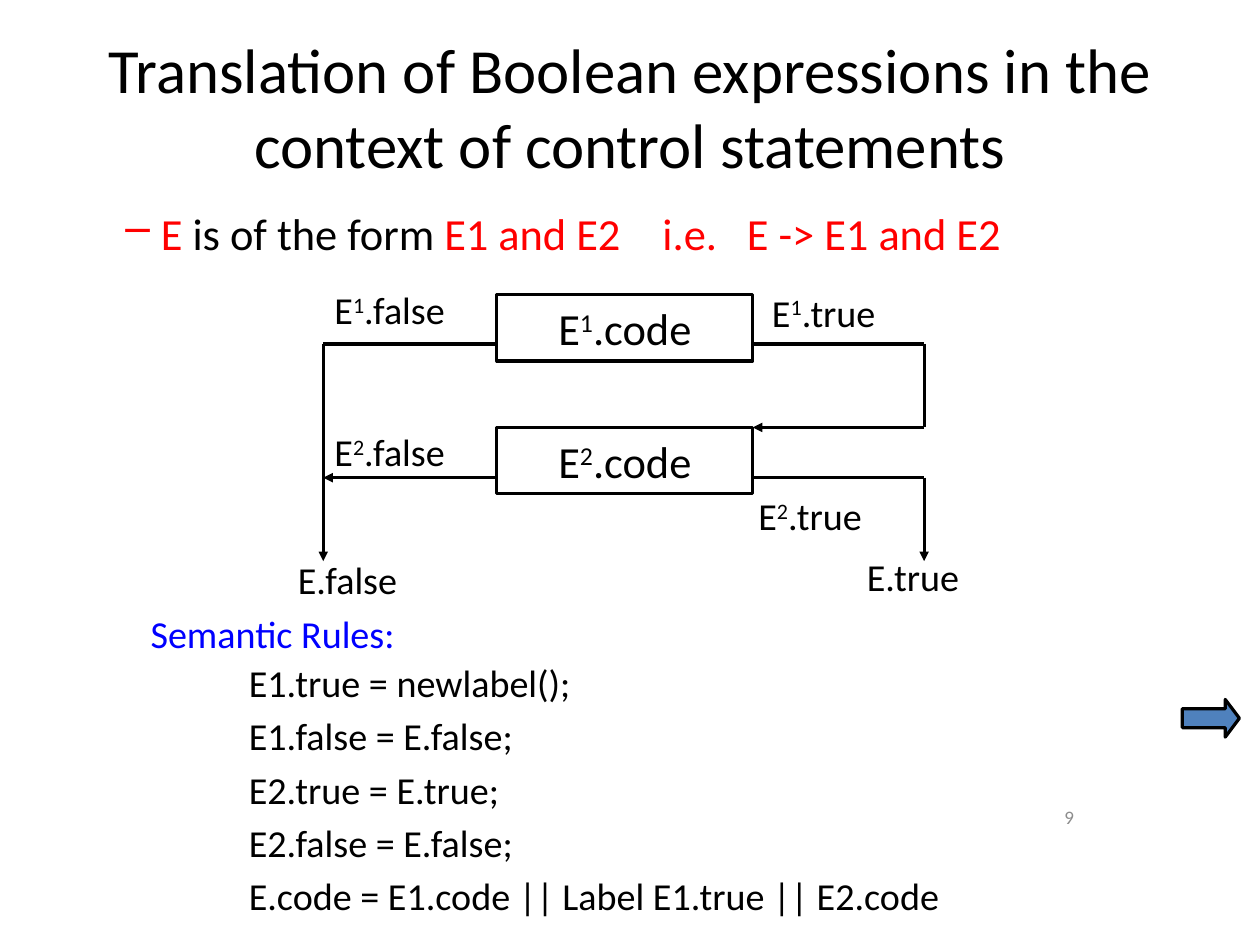
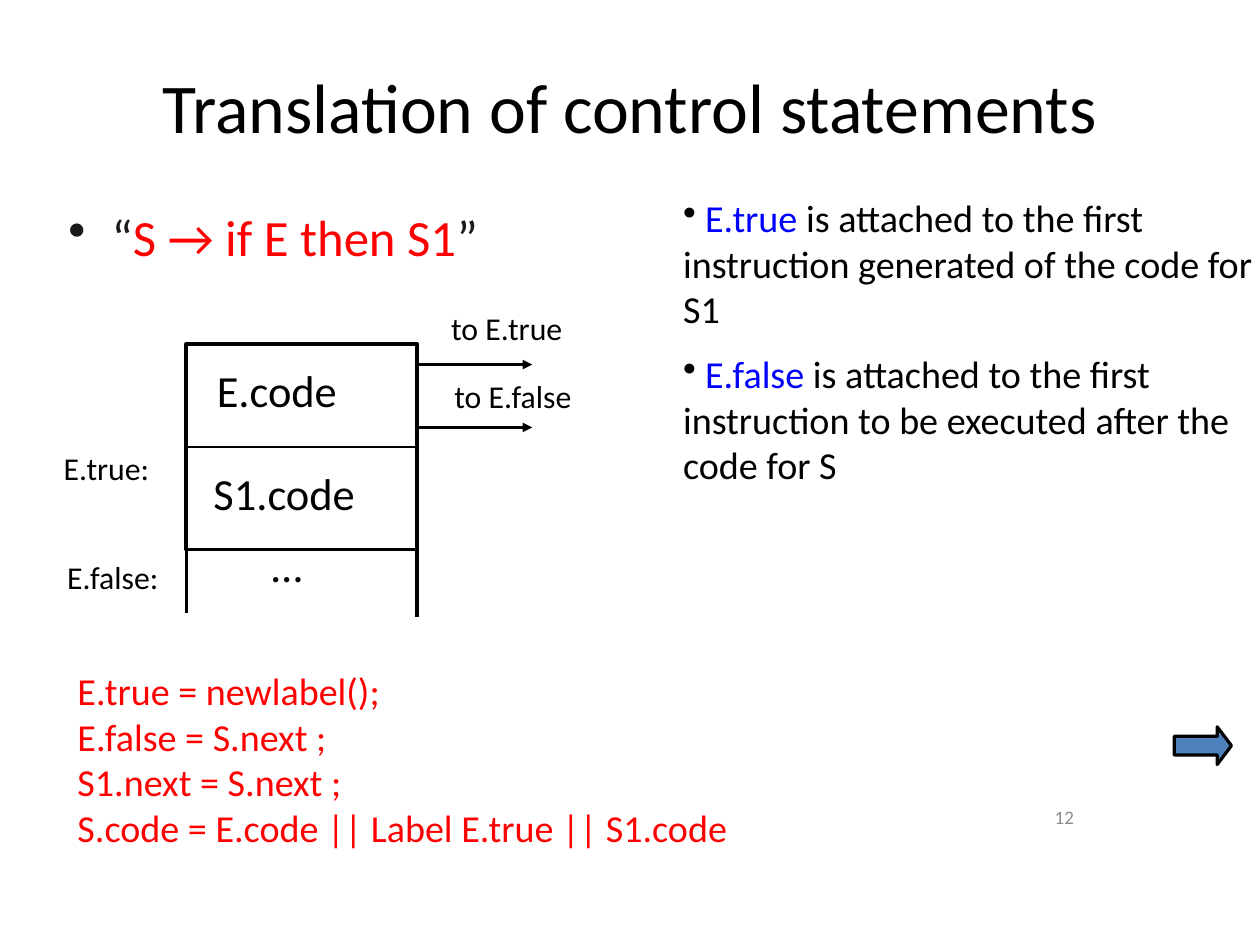
from lxml import etree
from pptx import Presentation
from pptx.dml.color import RGBColor
from pptx.enum.shapes import MSO_CONNECTOR, MSO_SHAPE
from pptx.enum.text import MSO_ANCHOR, MSO_AUTO_SIZE, PP_ALIGN
from pptx.oxml.ns import qn
from pptx.util import Inches, Pt

BLACK = RGBColor(0, 0, 0)
WHITE = RGBColor(255, 255, 255)
RED = RGBColor(255, 0, 0)
BLUE = RGBColor(0, 0, 255)
CHARCOAL = RGBColor(0x1A, 0x1A, 0x1A)
GREY = RGBColor(0x8C, 0x8C, 0x8C)
STEEL = RGBColor(0x4F, 0x81, 0xBD)

STRAIGHT = MSO_CONNECTOR.STRAIGHT
RECTANGLE = MSO_SHAPE.RECTANGLE
RIGHT_ARROW = MSO_SHAPE.RIGHT_ARROW
MIDDLE = MSO_ANCHOR.MIDDLE
TOP = MSO_ANCHOR.TOP
NO_AUTO_SIZE = MSO_AUTO_SIZE.NONE
LEFT, CENTER, RIGHT = PP_ALIGN.LEFT, PP_ALIGN.CENTER, PP_ALIGN.RIGHT

FONT = "Calibri"
TITLE_ONLY = 5
SUPERSCRIPT = "30000"


def indexed(index, suffix):
    return [("E", None), (index, SUPERSCRIPT), (suffix, None)]


class Deck:
    def __init__(self):
        self.presentation = Presentation()
        self.presentation.slide_width = Inches(11.03)
        self.presentation.slide_height = Inches(8.26)
        self.slide = None

    def start_slide(self, title, title_size, number, arrow_left, arrow_top):
        layout = self.presentation.slide_layouts[TITLE_ONLY]
        self.slide = self.presentation.slides.add_slide(layout)
        placeholder = self.slide.shapes.title
        placeholder.left, placeholder.top = Inches(0.18), Inches(0.3)
        placeholder.width, placeholder.height = Inches(10.67), Inches(1.25)
        self.fill_text(placeholder, [title], title_size, align=CENTER, anchor=MIDDLE)
        self.text(7.17, 6.95, 2.33, 0.4, [number], 12, GREY, align=RIGHT, anchor=MIDDLE)
        arrow = self.shape(RIGHT_ARROW, arrow_left, arrow_top, 0.5, 0.33, STEEL)
        arrow.adjustments[0] = 0.5
        arrow.adjustments[1] = 0.375

    def fill_text(self, shape, paragraphs, size, color=BLACK, align=LEFT, anchor=TOP,
                  gap=0, bullet=None, bullet_color=BLACK, hanging=0):
        frame = shape.text_frame
        frame.word_wrap = True
        frame.auto_size = NO_AUTO_SIZE
        frame.vertical_anchor = anchor
        for position, content in enumerate(paragraphs):
            paragraph = frame.add_paragraph() if position else frame.paragraphs[0]
            if bullet:
                self.add_bullet(paragraph, bullet, bullet_color, hanging)
            paragraph.alignment = align
            paragraph.space_before = Pt(gap if position else 0)
            paragraph.font.name = FONT
            paragraph.font.size = Pt(size)
            paragraph.font.color.rgb = color
            runs = [(content, None)] if isinstance(content, str) else content
            for wording, style in runs:
                run = paragraph.add_run()
                run.text = wording
                if style == SUPERSCRIPT:
                    run.font._element.set("baseline", SUPERSCRIPT)
                elif style is not None:
                    run.font.color.rgb = style

    def add_bullet(self, paragraph, character, color, hanging):
        properties = paragraph._p.get_or_add_pPr()
        properties.set("marL", str(Inches(hanging)))
        properties.set("indent", str(-Inches(hanging)))
        bullet_color = etree.SubElement(properties, qn("a:buClr"))
        etree.SubElement(bullet_color, qn("a:srgbClr"), val=str(color))
        etree.SubElement(properties, qn("a:buChar"), char=character)

    def text(self, left, top, width, height, paragraphs, size, color=BLACK, **style):
        box = self.slide.shapes.add_textbox(
            Inches(left), Inches(top), Inches(width), Inches(height))
        self.fill_text(box, paragraphs, size, color, **style)
        return box

    def shape(self, kind, left, top, width, height, fill, line_width=2):
        shape = self.slide.shapes.add_shape(
            kind, Inches(left), Inches(top), Inches(width), Inches(height))
        shape.shadow.inherit = False
        shape.fill.solid()
        shape.fill.fore_color.rgb = fill
        shape.line.color.rgb = BLACK
        shape.line.width = Pt(line_width)
        return shape

    def route(self, points, width=2, arrow=False):
        for start, end in zip(points, points[1:]):
            connector = self.slide.shapes.add_connector(
                STRAIGHT, *(Inches(value) for value in start + end))
            connector.line.color.rgb = BLACK
            connector.line.width = Pt(width)
            etree.SubElement(connector._element.spPr, qn("a:effectLst"))
            if arrow and end == points[-1]:
                line = connector.line._get_or_add_ln()
                etree.SubElement(line, qn("a:tailEnd"), type="triangle")


def build_boolean_slide(deck):
    deck.start_slide("Translation of Boolean expressions in the context of control statements",
                     39.6, "9", 10.35, 6.12)
    deck.text(1, 1.75, 4.7, 0.6, [[("E ", RED), ("is of the form ", None), ("E1 and E2", RED)]],
              28, bullet="–", bullet_color=RED, hanging=0.31)
    deck.text(5.7, 1.75, 0.75, 0.6, ["i.e."], 28, RED)
    deck.text(6.44, 1.75, 3, 0.6, ["E -> E1 and E2"], 28, RED)

    box_left, box_right = 4.35, 6.59
    false_x, true_x = 2.83, 8.09
    first_y, entry_y, second_y, exit_y = 3.01, 3.74, 4.18, 4.91
    for index, top in (("1", 2.58), ("2", entry_y)):
        box = deck.shape(RECTANGLE, box_left, top, box_right - box_left, 0.58, WHITE)
        deck.fill_text(box, [indexed(index, ".code")], 28, align=CENTER, anchor=MIDDLE)

    deck.route([(box_left, first_y), (false_x, first_y), (false_x, exit_y)], arrow=True)
    deck.route([(box_left, second_y), (false_x, second_y)], arrow=True)
    deck.route([(box_right, first_y), (true_x, first_y), (true_x, entry_y),
                (box_right, entry_y)], arrow=True)
    deck.route([(box_right, second_y), (true_x, second_y), (true_x, exit_y)], arrow=True)

    for left, top, content in (
        (2.83, 2.46, indexed("1", ".false")),
        (2.83, 3.7, indexed("2", ".false")),
        (2.51, 4.82, "E.false"),
        (6.66, 2.48, indexed("1", ".true")),
        (6.54, 4.26, indexed("2", ".true")),
        (7.49, 4.79, "E.true"),
    ):
        deck.text(left, top, 1.5, 0.5, [content], 24)

    deck.text(1.22, 5.29, 2.84, 0.5, ["Semantic Rules:"], 24, BLUE)
    deck.text(2.08, 5.72, 7.66, 2.44, [
        "E1.true = newlabel();",
        "E1.false = E.false;",
        "E2.true = E.true;",
        "E2.false = E.false;",
        "E.code = E1.code || Label E1.true || E2.code",
    ], 24, gap=4.8)


def build_control_slide(deck):
    deck.start_slide("Translation of control statements", 44, "12", 10.28, 6.36)
    deck.text(0.5, 1.75, 5, 0.7, [[("“", None), ("S → if E then S1", RED), ("”", None)]],
              32, CHARCOAL, bullet="•", bullet_color=CHARCOAL, hanging=0.38)

    left, right, top, row_height = 1.63, 3.65, 3.01, 0.9
    middle, bottom = top + row_height, top + 2 * row_height
    deck.shape(RECTANGLE, left, top, right - left, 2 * row_height, WHITE, 2.25)
    deck.route([(left, middle), (right, middle)], 1)
    for x, end in ((left, 5.36), (right, 5.4)):
        deck.route([(x, bottom), (x, end)])
    for y in (3.19, 3.74):
        deck.route([(right, y), (4.66, y)], arrow=True)

    for label_left, label_top, width, wording, size in (
        (1.8, 3.13, 1.76, "E.code", 28),
        (1.77, 4.03, 1.85, "S1.code", 28),
        (2.28, 4.66, 0.74, "…", 28),
        (3.85, 2.65, 1.53, "to E.true", 20),
        (3.88, 3.25, 1.54, "to E.false", 20),
        (0.46, 3.88, 1.17, "E.true:", 20),
        (0.49, 4.83, 1.14, "E.false:", 20),
    ):
        deck.text(label_left, label_top, width, 0.5, [wording], size)

    notes = deck.text(5.87, 1.64, 5.24, 2.74, [
        [(" ", None), ("E.true", BLUE),
         (" is attached to the first instruction generated of the code for S1", None)],
        [(" ", None), ("E.false", BLUE),
         (" is attached to the first instruction to be executed after the code for S", None)],
    ], 24, gap=12, bullet="•")
    frame = notes.text_frame
    frame.margin_left = frame.margin_right = Inches(0.11)
    frame.margin_top = frame.margin_bottom = Inches(0.06)

    deck.text(0.58, 5.79, 8.06, 1.72, [
        "E.true = newlabel();",
        "E.false = S.next ;",
        "S1.next = S.next ;",
        "S.code = E.code || Label E.true || S1.code",
    ], 24, RED)


def main():
    deck = Deck()
    build_boolean_slide(deck)
    build_control_slide(deck)
    deck.presentation.save("out.pptx")


if __name__ == "__main__":
    main()
